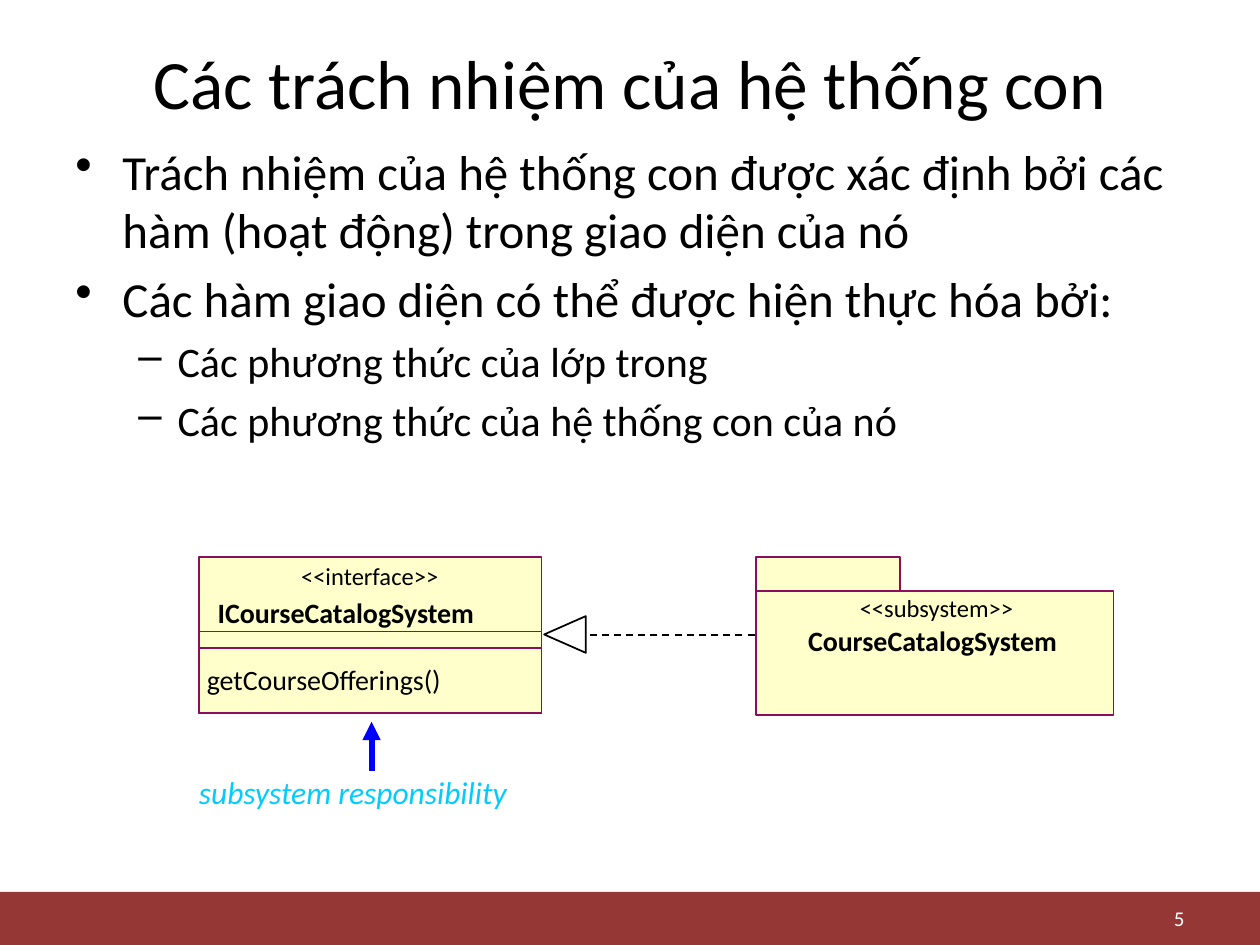
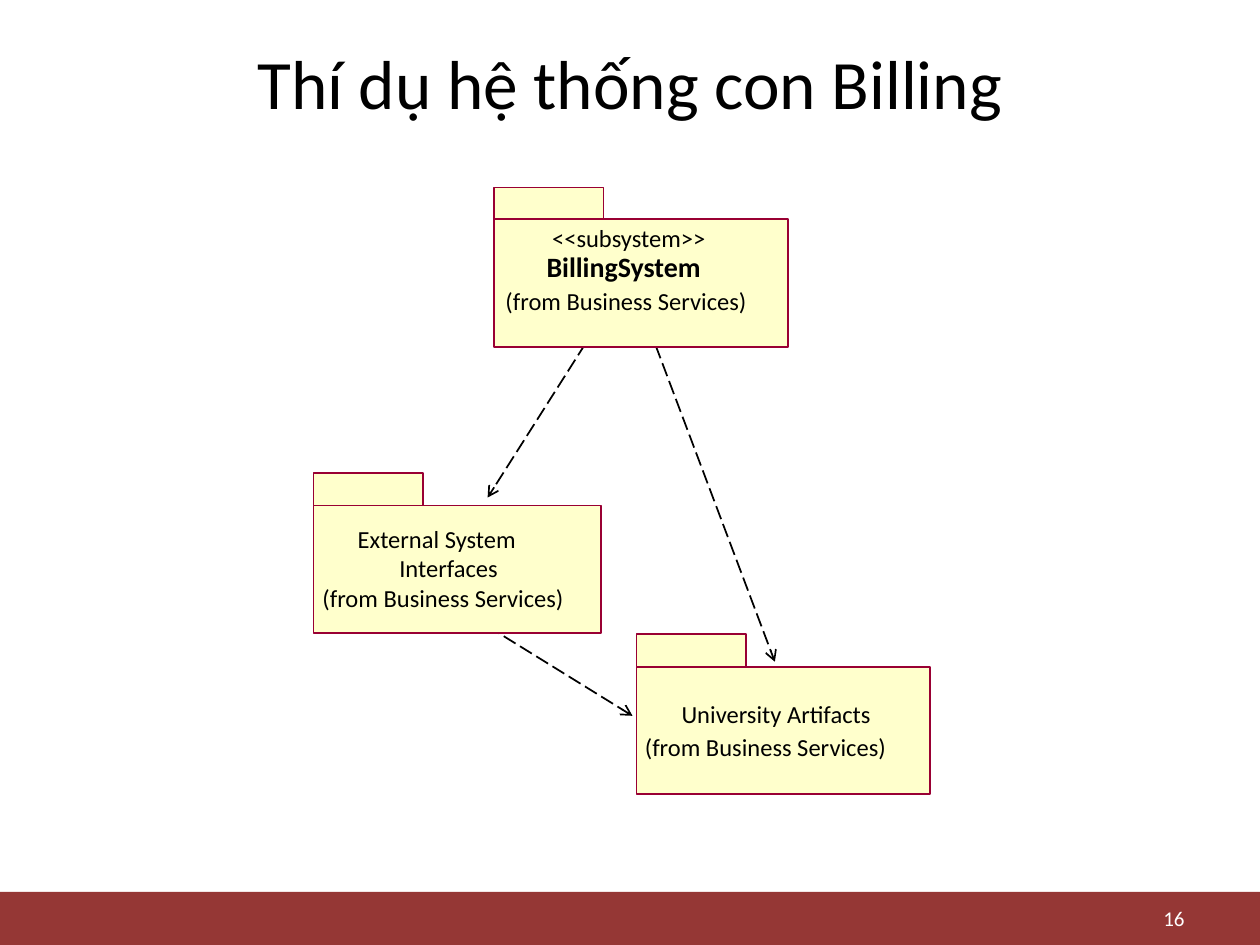
from dataclasses import dataclass
from typing import NamedTuple

from lxml.etree import SubElement
from pptx import Presentation
from pptx.dml.color import RGBColor
from pptx.enum.dml import MSO_LINE
from pptx.enum.shapes import MSO_CONNECTOR, MSO_SHAPE
from pptx.enum.text import MSO_ANCHOR, PP_ALIGN
from pptx.oxml.ns import qn
from pptx.shapes.autoshape import Shape
from pptx.slide import Slide
from pptx.text.text import _Paragraph as Paragraph
from pptx.util import Cm, Pt

FONT = "Calibri"
BLACK = RGBColor(0x00, 0x00, 0x00)
WHITE = RGBColor(0xFF, 0xFF, 0xFF)
BRICK = RGBColor(0x95, 0x37, 0x35)
CREAM = RGBColor(0xFF, 0xFF, 0xCC)
PLUM = RGBColor(0x8A, 0x0E, 0x5E)
CRIMSON = RGBColor(0x99, 0x00, 0x33)
CYAN = RGBColor(0x00, 0xCC, 0xFF)
BLUE = RGBColor(0x00, 0x00, 0xFF)

SLIDE_WIDTH, SLIDE_HEIGHT = 25.4, 19.05
MARGIN = 1.27
CONTENT_WIDTH = SLIDE_WIDTH - 2 * MARGIN
BAND_TOP = 17.98
ORIGIN = "(from Business Services)"


class Box(NamedTuple):
    """A rectangle in centimetres."""

    left: float
    top: float
    width: float
    height: float

    def emu(self) -> tuple[Cm, ...]:
        """Return the four lengths for python-pptx."""
        return tuple(Cm(length) for length in self)


@dataclass(frozen=True)
class TextStyle:
    """Font and paragraph settings."""

    size: float = 14
    bold: bool = False
    italic: bool = False
    color: RGBColor = BLACK
    align: PP_ALIGN = PP_ALIGN.LEFT
    space_before: float = 0


@dataclass(frozen=True)
class BulletLevel:
    """Bullet sign, indents in centimetres and text style of a level."""

    sign: str
    margin: float
    hanging: float
    style: TextStyle


@dataclass(frozen=True)
class Label:
    """A one-line diagram text placed at its top left corner."""

    text: str
    left: float
    top: float
    width: float
    style: TextStyle


@dataclass(frozen=True)
class Package:
    """A UML package: a small tab on top of a body."""

    tab: Box
    body_width: float
    body_height: float
    border: RGBColor


@dataclass(frozen=True)
class Link:
    """A straight line with its dash and optional arrowhead."""

    start: tuple[float, float]
    end: tuple[float, float]
    color: RGBColor = BLACK
    width: float = 1
    dash: MSO_LINE | None = None
    head: str = ""


PLAIN = TextStyle()
PLAIN_CENTERED = TextStyle(align=PP_ALIGN.CENTER)
OPERATION = TextStyle(16)
NAME = TextStyle(16, bold=True)
NAME_CENTERED = TextStyle(16, bold=True, align=PP_ALIGN.CENTER)
TITLE = TextStyle(39.6, align=PP_ALIGN.CENTER)
PAGE_NUMBER = TextStyle(12, color=WHITE, align=PP_ALIGN.RIGHT)
CAPTION = TextStyle(18, italic=True, color=CYAN, space_before=9)
POINT = BulletLevel("•", 0.95, 0.95, TextStyle(28, space_before=5.6))
SUBPOINT = BulletLevel("–", 2.06, 0.79, TextStyle(24, space_before=4.8))

RESPONSIBILITIES = (
    (POINT, "Trách nhiệm của hệ thống con được xác định bởi các hàm (hoạt động) trong giao diện của nó"),
    (POINT, "Các hàm giao diện có thể được hiện thực hóa bởi:"),
    (SUBPOINT, "Các phương thức của lớp trong"),
    (SUBPOINT, "Các phương thức của hệ thống con của nó"),
)

INTERFACE_LEFT, INTERFACE_WIDTH, INTERFACE_BOTTOM = 4.01, 6.91, 14.38
COMPARTMENT_TOPS = (11.23, 12.73, 13.06)
CATALOG_PACKAGE = Package(Box(15.24, 11.23, 2.9, 0.68), 7.21, 2.51, PLUM)
CATALOG_LABELS = (
    Label("<<subsystem>>", 17.32, 11.96, 3.12, PLAIN_CENTERED),
    Label("CourseCatalogSystem", 16.26, 12.57, 5.08, NAME_CENTERED),
    Label("<<interface>>", 6.07, 11.3, 2.79, PLAIN),
    Label("ICourseCatalogSystem", 4.39, 12.01, 5.23, NAME),
    Label("getCourseOfferings()", 4.17, 13.36, 4.8, OPERATION),
)
CATALOG_LINKS = (
    Link((15.21, 12.8), (11.81, 12.8), dash=MSO_LINE.DASH),
    Link((7.49, 15.54), (7.49, 14.55), BLUE, 3.5, head="triangle"),
)

BILLING_LINKS = tuple(
    Link(start, end, dash=MSO_LINE.LONG_DASH, head="arrow")
    for start, end in (
        ((12.01, 6.6), (9.83, 10.03)),
        ((13.08, 6.6), (15.62, 13.34)),
        ((9.5, 12.42), (12.75, 14.43)),
    )
)
BILLING_PACKAGES = (
    Package(Box(9.96, 3.78, 2.21, 0.64), 5.92, 2.57, CRIMSON),
    Package(Box(6.32, 9.53, 2.21, 0.66), 5.79, 2.57, CRIMSON),
    Package(Box(12.83, 12.78, 2.21, 0.66), 5.92, 2.57, CRIMSON),
)
BILLING_LABELS = (
    Label("<<subsystem>>", 11.13, 4.5, 3.12, PLAIN),
    Label("BillingSystem", 11.02, 5.03, 3.15, NAME),
    Label(ORIGIN, 10.19, 5.77, 4.9, PLAIN),
    Label("External System", 7.21, 10.57, 3.33, PLAIN),
    Label("Interfaces", 8.05, 11.15, 2.01, PLAIN),
    Label(ORIGIN, 6.5, 11.76, 4.9, PLAIN),
    Label("University Artifacts", 13.74, 14.1, 3.86, PLAIN),
    Label(ORIGIN, 13, 14.76, 4.9, PLAIN),
)


def style_paragraph(paragraph: Paragraph, style: TextStyle) -> None:
    """Apply a text style to a paragraph."""
    paragraph.alignment = style.align
    paragraph.space_before = Pt(style.space_before)
    font = paragraph.font
    font.name, font.size = FONT, Pt(style.size)
    font.bold, font.italic = style.bold, style.italic
    font.color.rgb = style.color


def add_text(slide: Slide, text: str, box: Box, style: TextStyle,
             inset: tuple[float, float] = (0.25, 0.13),
             anchor: MSO_ANCHOR = MSO_ANCHOR.TOP, wrap: bool = True) -> None:
    """Add a text box with one paragraph."""
    frame = slide.shapes.add_textbox(*box.emu()).text_frame
    frame.word_wrap = wrap
    frame.vertical_anchor = anchor
    frame.margin_left = frame.margin_right = Cm(inset[0])
    frame.margin_top = frame.margin_bottom = Cm(inset[1])
    frame.text = text
    style_paragraph(frame.paragraphs[0], style)


def add_label(slide: Slide, label: Label) -> None:
    """Add an unwrapped label without insets."""
    box = Box(label.left, label.top, label.width, label.style.size * 0.043)
    add_text(slide, label.text, box, label.style, inset=(0, 0), wrap=False)


def add_bullets(slide: Slide, box: Box, items: tuple[tuple[BulletLevel, str], ...]) -> None:
    """Add a text box with bulleted paragraphs."""
    frame = slide.shapes.add_textbox(*box.emu()).text_frame
    frame.word_wrap = True
    for index, (level, text) in enumerate(items):
        paragraph = frame.add_paragraph() if index else frame.paragraphs[0]
        paragraph.text = text
        properties = paragraph._p.get_or_add_pPr()
        properties.set("marL", str(Cm(level.margin)))
        properties.set("indent", str(-Cm(level.hanging)))
        SubElement(properties, qn("a:buChar")).set("char", level.sign)
        style_paragraph(paragraph, level.style)


def add_block(slide: Slide, box: Box, fill: RGBColor | None, border: RGBColor | None,
              kind: MSO_SHAPE = MSO_SHAPE.RECTANGLE) -> Shape:
    """Add a preset shape with optional fill and border."""
    block = slide.shapes.add_shape(kind, *box.emu())
    block.shadow.inherit = False
    if fill is None:
        block.fill.background()
    else:
        block.fill.solid()
        block.fill.fore_color.rgb = fill
    if border is None:
        block.line.fill.background()
    else:
        block.line.color.rgb = border
        block.line.width = Pt(1)
    return block


def add_package(slide: Slide, package: Package) -> None:
    """Add the body and the tab of a package."""
    tab = package.tab
    body = Box(tab.left, tab.top + tab.height, package.body_width, package.body_height)
    for part in (body, tab):
        add_block(slide, part, CREAM, package.border)


def add_link(slide: Slide, link: Link) -> None:
    """Add a straight connector."""
    points = [Cm(value) for value in (*link.start, *link.end)]
    connector = slide.shapes.add_connector(MSO_CONNECTOR.STRAIGHT, *points)
    connector.line.color.rgb = link.color
    connector.line.width = Pt(link.width)
    if link.dash is not None:
        connector.line.dash_style = link.dash
    properties = connector._element.spPr
    if link.head:
        SubElement(properties.find(qn("a:ln")), qn("a:tailEnd")).set("type", link.head)
    SubElement(properties, qn("a:effectLst"))


def add_base_slide(deck: Presentation, title: str, number: int) -> Slide:
    """Add a slide with its footer band, title and page number."""
    slide = deck.slides.add_slide(deck.slide_layouts[6])
    add_block(slide, Box(0, BAND_TOP, SLIDE_WIDTH, SLIDE_HEIGHT - BAND_TOP), BRICK, None)
    add_text(slide, title, Box(MARGIN, 0.76, CONTENT_WIDTH, 1.78), TITLE,
             anchor=MSO_ANCHOR.MIDDLE)
    add_text(slide, str(number), Box(18.21, 18.16, 5.92, 0.69), PAGE_NUMBER,
             anchor=MSO_ANCHOR.MIDDLE)
    return slide


def add_responsibilities_slide(deck: Presentation) -> None:
    """Build the slide on subsystem responsibilities."""
    slide = add_base_slide(deck, "Các trách nhiệm của hệ thống con", 5)
    add_bullets(slide, Box(MARGIN, 2.72, CONTENT_WIDTH, 8.08), RESPONSIBILITIES)
    add_package(slide, CATALOG_PACKAGE)
    for top in COMPARTMENT_TOPS:
        compartment = Box(INTERFACE_LEFT, top, INTERFACE_WIDTH, INTERFACE_BOTTOM - top)
        add_block(slide, compartment, CREAM, PLUM)
    for label in CATALOG_LABELS:
        add_label(slide, label)
    realization_head = add_block(slide, Box(11.02, 12.37, 0.74, 0.84), None, BLACK,
                                 MSO_SHAPE.ISOSCELES_TRIANGLE)
    realization_head.rotation = 270
    add_text(slide, "subsystem responsibility", Box(3.71, 15.44, 7.7, 1.07), CAPTION,
             inset=(0.3, 0.15))
    for link in CATALOG_LINKS:
        add_link(slide, link)


def add_billing_slide(deck: Presentation) -> None:
    """Build the slide with the Billing package diagram."""
    slide = add_base_slide(deck, "Thí dụ hệ thống con Billing", 16)
    for link in BILLING_LINKS:
        add_link(slide, link)
    for package in BILLING_PACKAGES:
        add_package(slide, package)
    for label in BILLING_LABELS:
        add_label(slide, label)


def main() -> None:
    """Build and save the presentation."""
    deck = Presentation()
    deck.slide_width, deck.slide_height = Cm(SLIDE_WIDTH), Cm(SLIDE_HEIGHT)
    add_responsibilities_slide(deck)
    add_billing_slide(deck)
    deck.save("out.pptx")


if __name__ == "__main__":
    main()
